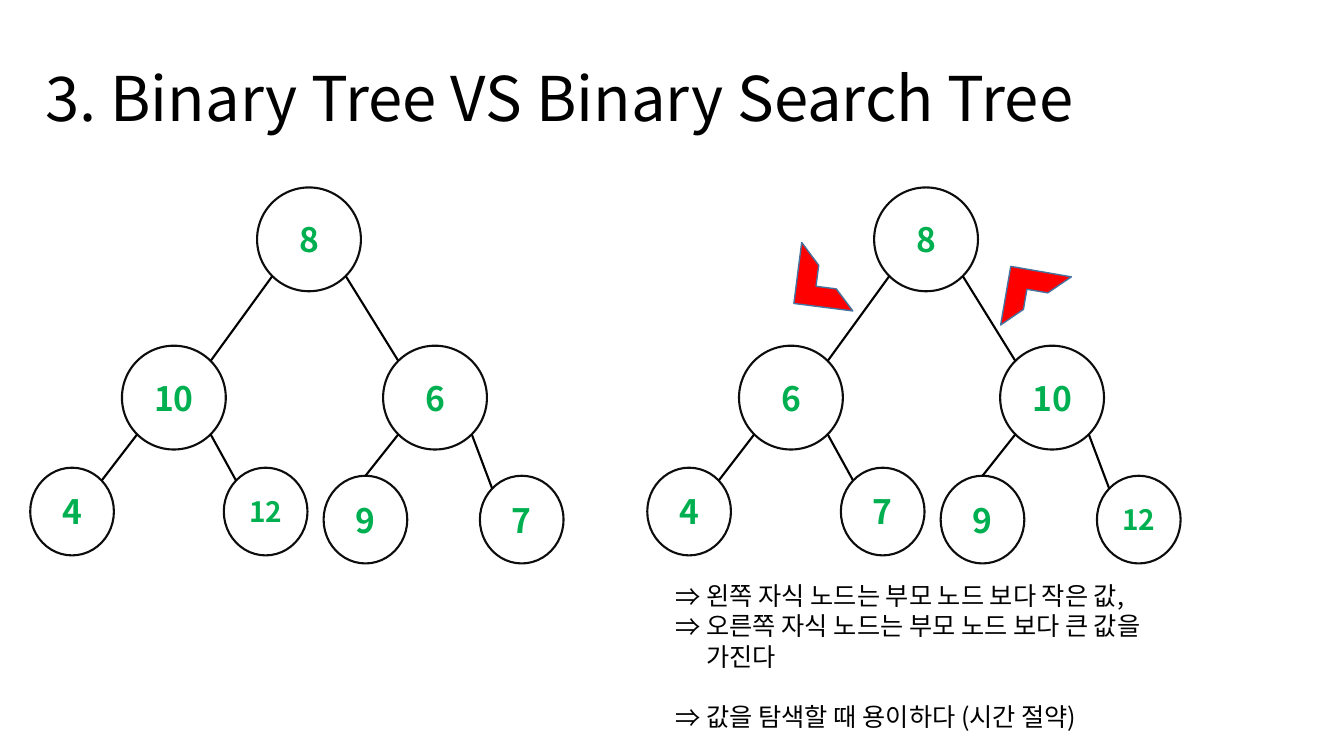
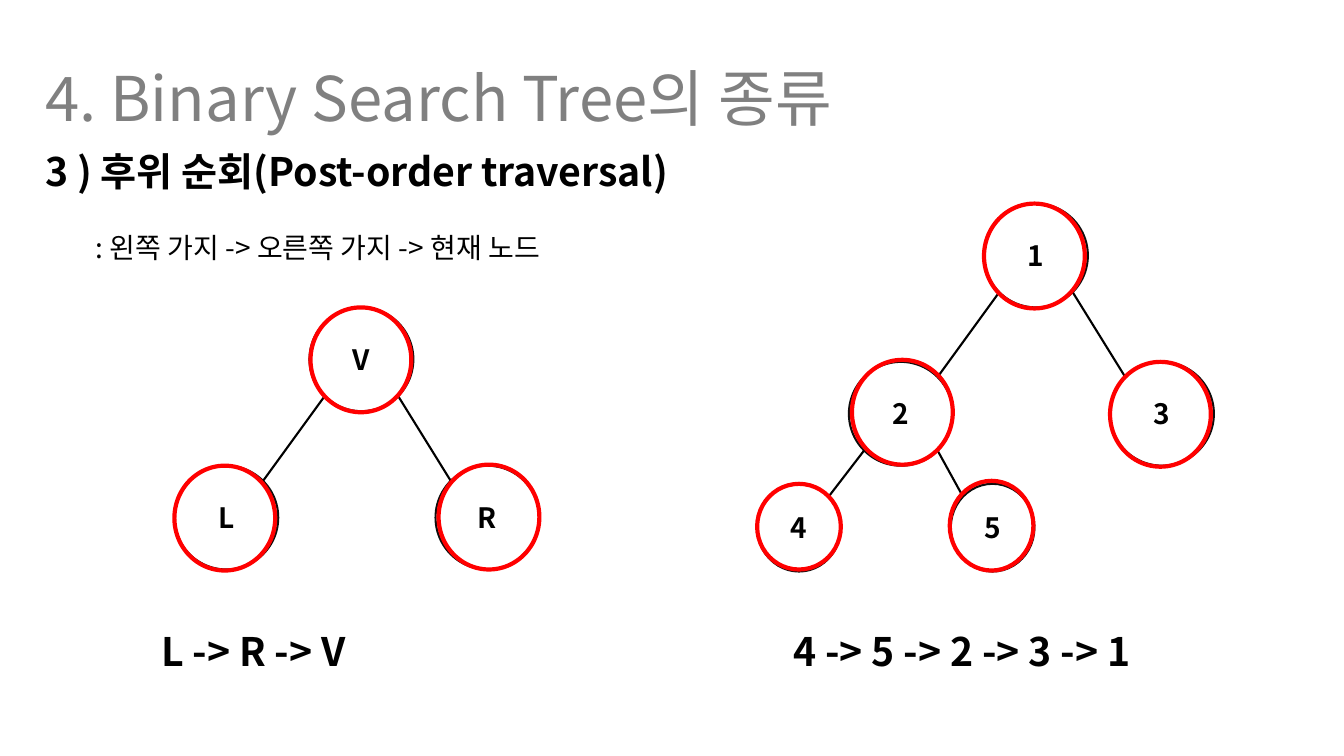
from collections import namedtuple
from math import sqrt

from lxml import etree
from pptx import Presentation
from pptx.dml.color import RGBColor
from pptx.enum.shapes import MSO_CONNECTOR, MSO_SHAPE
from pptx.enum.text import MSO_ANCHOR, MSO_AUTO_SIZE, PP_ALIGN
from pptx.oxml.ns import qn
from pptx.util import Inches, Pt

ELLIPSE, HALF_FRAME = MSO_SHAPE.OVAL, MSO_SHAPE.HALF_FRAME
STRAIGHT = MSO_CONNECTOR.STRAIGHT
LEFT, CENTER = PP_ALIGN.LEFT, PP_ALIGN.CENTER
TOP, MIDDLE = MSO_ANCHOR.TOP, MSO_ANCHOR.MIDDLE
NO_FIT = MSO_AUTO_SIZE.NONE

FONT = "Noto Sans CJK KR"
BLACK, WHITE, GRAY = "000000", "FFFFFF", "808080"
GREEN, RED, OUTLINE, BLUE = "00B050", "FF0000", "0D0D0D", "43739E"
WIDTH, HEIGHT = 13.33, 7.5
MARGIN = 0.35
TITLE_BOX = (MARGIN, 0.54, 12.5, 0.84)
BIG, SMALL = (1.03, 1.03), (0.83, 0.87)
TITLE_ONLY = 5

Node = namedtuple("Node", "x y size parent parent_side child_side")
TREE_NODES = [
    Node(0, 0, BIG, None, 0, 0),
    Node(-1.34, 1.57, BIG, 0, -1, 1),
    Node(1.25, 1.57, BIG, 0, 1, -1),
    Node(-2.25, 2.78, SMALL, 1, -1, 1),
    Node(-0.33, 2.78, SMALL, 1, 1, -1),
    Node(0.66, 2.86, SMALL, 2, -1, 0),
    Node(2.21, 2.86, SMALL, 2, 1, -1),
]


def color(value):
    """Turn a hex string into a colour."""
    return RGBColor.from_string(value)


def inches(box):
    """Turn a box in inches into lengths."""
    return [Inches(length) for length in box]


def format_text(frame, size, ink, bold=False, align=LEFT, anchor=MIDDLE):
    """Give all the text of a frame one style."""
    frame.word_wrap = True
    frame.auto_size = NO_FIT
    frame.vertical_anchor = anchor
    for para in frame.paragraphs:
        para.alignment = align
        for span in para.runs:
            span.font.name = FONT
            span.font.size = Pt(size)
            span.font.bold = bold
            span.font.color.rgb = color(ink)
            etree.SubElement(span._r.get_or_add_rPr(), qn("a:ea"), typeface=FONT)


def add_page(deck, title, ink):
    """Add a slide with its title."""
    page = deck.slides.add_slide(deck.slide_layouts[TITLE_ONLY])
    heading = page.shapes.title
    heading.left, heading.top, heading.width, heading.height = inches(TITLE_BOX)
    heading.text_frame.text = title
    format_text(heading.text_frame, 44, ink)
    return page


def add_label(page, box, text, size, bold=False):
    """Add one line of black text."""
    frame = page.shapes.add_textbox(*inches(box)).text_frame
    frame.text = text
    format_text(frame, size, BLACK, bold)


def add_outlined(shapes, kind, box, fill, line, weight):
    """Add a preset shape with an outline and an optional fill."""
    shape = shapes.add_shape(kind, *inches(box))
    shape.shadow.inherit = False
    if fill:
        shape.fill.solid()
        shape.fill.fore_color.rgb = color(fill)
    else:
        shape.fill.background()
    shape.line.color.rgb = color(line)
    shape.line.width = Pt(weight)
    return shape


def rim_point(circle, side, down):
    """Find the point on a circle's rim, diagonal or straight above or below."""
    reach = 1 / sqrt(2) if side else 1
    across = circle.width / 2 * (1 + side * reach)
    along = circle.height / 2 * (1 + down * reach)
    return int(circle.left + across), int(circle.top + along)


def add_branch(shapes, parent, child, node):
    """Join a parent circle to its child."""
    start = rim_point(parent, node.parent_side, 1)
    end = rim_point(child, node.child_side, -1)
    branch = shapes.add_connector(STRAIGHT, *start, *end)
    if node.child_side == 0:
        branch.end_connect(child, 0)
    branch.line.color.rgb = color(BLACK)
    branch.line.width = Pt(1.5)
    etree.SubElement(branch._element.spPr, qn("a:effectLst"))


def add_tree(page, left, top, labels, size, ink):
    """Draw a binary tree whose root has the given corner."""
    shapes = page.shapes.add_group_shape().shapes
    circles = []
    for node, label in zip(TREE_NODES, labels):
        box = (left + node.x, top + node.y, *node.size)
        circle = add_outlined(shapes, ELLIPSE, box, WHITE, OUTLINE, 1.5)
        circle.text_frame.text = label
        tight = node.size == SMALL and len(label) > 1
        format_text(circle.text_frame, 20 if tight else size, ink, True, CENTER)
        circles.append(circle)
    for node, circle in zip(TREE_NODES, circles):
        if node.parent is not None:
            add_branch(shapes, circles[node.parent], circle, node)


def add_rings(page, left, top, rings):
    """Mark the visited nodes of a tree with red rings."""
    for node, (shift_x, shift_y, width, height) in zip(TREE_NODES, rings):
        box = (left + node.x + shift_x, top + node.y + shift_y, width, height)
        add_outlined(page.shapes, ELLIPSE, box, None, RED, 3)


def add_rules(page, box, rules):
    """List rules with arrow bullets, the last one set apart."""
    line_height = Pt(21.6)
    frame = page.shapes.add_textbox(*inches(box)).text_frame
    frame.text = "\n".join(rules)
    format_text(frame, 18, BLACK, anchor=TOP)
    for para in frame.paragraphs:
        para.line_spacing = line_height
    frame.paragraphs[-1].space_before = line_height
    indent = Inches(0.31)
    for para in frame.paragraphs:
        properties = para._p.get_or_add_pPr()
        properties.set("marL", str(indent))
        properties.set("indent", str(-indent))
        etree.SubElement(properties, qn("a:buFont"), typeface=FONT)
        etree.SubElement(properties, qn("a:buChar"), char="⇒")


def add_comparison(deck):
    """Build the slide that compares the two kinds of tree."""
    page = add_page(deck, "3. Binary Tree VS Binary Search Tree", BLACK)
    trees = [
        (2.55, ["8", "10", "6", "4", "12", "9", "7"]),
        (8.67, ["8", "6", "10", "4", "7", "9", "12"]),
    ]
    for left, labels in trees:
        add_tree(page, left, 1.86, labels, 24, GREEN)
    for left, top, angle in [(7.9, 2.45, 277.3), (9.97, 2.69, 9.8)]:
        box = (left, top, 0.61, 0.59)
        sign = add_outlined(page.shapes, HALF_FRAME, box, RED, BLUE, 1)
        sign.rotation = angle
    add_rules(page, (6.6, 5.71, 5.44, 1.62), [
        "왼쪽 자식 노드는 부모 노드 보다 작은 값,",
        "오른쪽 자식 노드는 부모 노드 보다 큰 값을 가진다",
        "값을 탐색할 때 용이하다 (시간 절약)",
    ])


def add_traversal(deck):
    """Build the slide about post-order traversal."""
    page = add_page(deck, "4. Binary Search Tree의 종류", GRAY)
    add_label(page, (MARGIN, 1.41, 11.6, 0.57),
              "3 ) 후위 순회(Post-order traversal)", 28, True)
    add_label(page, (0.85, 2.23, 7.83, 0.44),
              ": 왼쪽 가지 -> 오른쪽 가지 -> 현재 노드", 20)
    ring = (1, 1.04)
    examples = [
        (3.07, 3.05, "VLR", (1.5, 6.17, 2.44, 0.57), "L -> R -> V",
         [(0.01, 0, *ring), (0, 0, *ring), (0.03, -0.01, *ring)]),
        (9.76, 2.02, "12345", (7.77, 6.17, 4.53, 0.57), "4 -> 5 -> 2 -> 3 -> 1",
         [(0, 0, *ring), (0.03, -0.02, *ring), (0, 0, *ring),
          (0, 0, 0.83, 0.85), (-0.01, -0.03, 0.83, 0.89)]),
    ]
    for left, top, labels, order_box, order, rings in examples:
        add_tree(page, left, top, labels, 20, BLACK)
        add_rings(page, left, top, rings)
        add_label(page, order_box, order, 28, True)


def main():
    """Build and save the deck."""
    deck = Presentation()
    deck.slide_width, deck.slide_height = inches((WIDTH, HEIGHT))
    add_comparison(deck)
    add_traversal(deck)
    deck.save("out.pptx")


if __name__ == "__main__":
    main()
